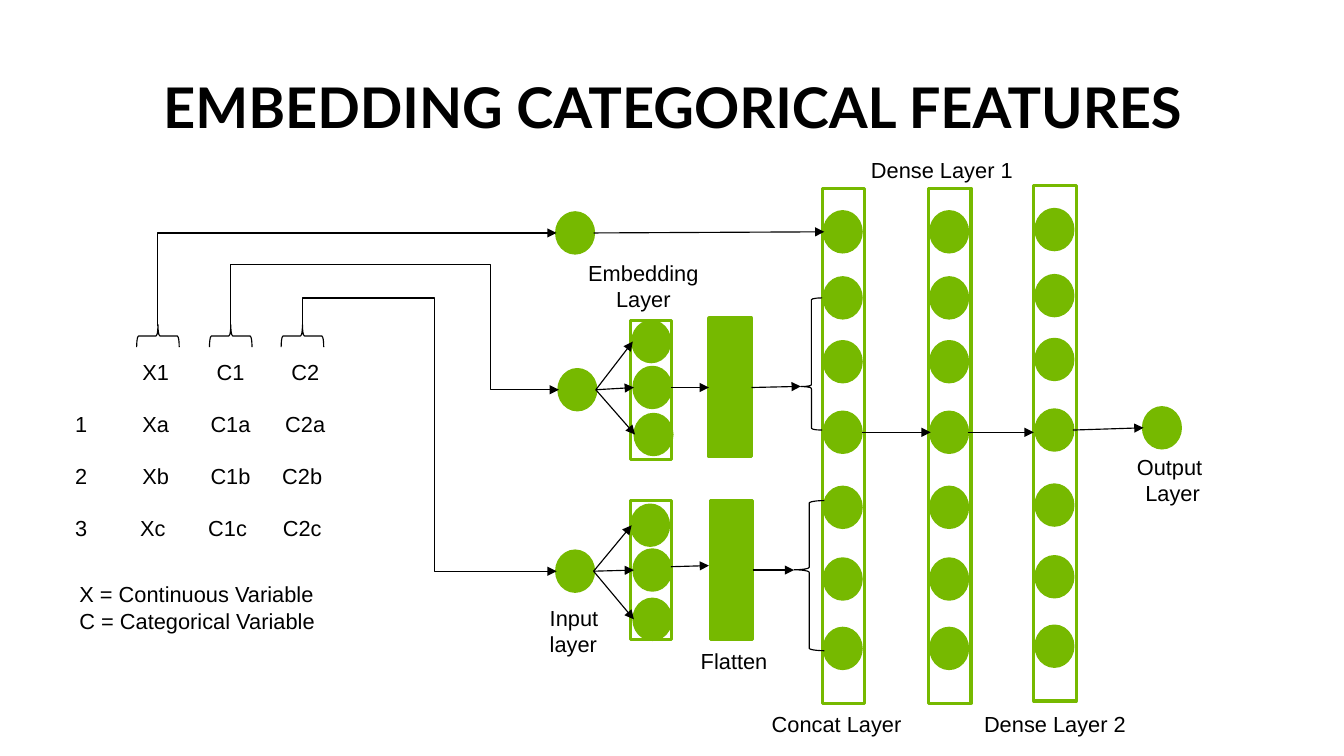
import pptx
import pptx.dml.color
import pptx.enum.shapes
import pptx.enum.text
import pptx.oxml.ns
import pptx.util
from lxml import etree

Inches = pptx.util.Inches
Pt = pptx.util.Pt
SHAPE = pptx.enum.shapes.MSO_SHAPE
CONNECTOR = pptx.enum.shapes.MSO_CONNECTOR
ALIGN = pptx.enum.text.PP_ALIGN
ANCHOR = pptx.enum.text.MSO_ANCHOR
qn = pptx.oxml.ns.qn

COLOURS = {"ink": "000000", "node": "76B900", "paper": "FFFFFF"}
NODE_W, NODE_H = 0.33, 0.36
BAR_W = 0.38


def rgb(name):
    return pptx.dml.color.RGBColor.from_string(COLOURS[name])


class Diagram:
    """Style and current slide, with one method per kind of element."""

    def __init__(self, slide, font="Arial", size=14):
        self.slide, self.font, self.size = slide, font, size

    def style(self, paragraph, align, font=None, size=None, bold=False):
        paragraph.alignment = align
        paragraph.font.name = font or self.font
        paragraph.font.size = Pt(size or self.size)
        paragraph.font.bold = bold
        paragraph.font.color.rgb = rgb("ink")

    def text(self, x, y, w, h, lines, align=ALIGN.CENTER, **font):
        box = self.slide.shapes.add_textbox(Inches(x), Inches(y), Inches(w), Inches(h))
        frame = box.text_frame
        frame.word_wrap = True
        frame.text = lines
        for paragraph in frame.paragraphs:
            self.style(paragraph, align, **font)
        return frame

    def shape(self, kind, x, y, w, h, fill=None, line="node", weight=2):
        item = self.slide.shapes.add_shape(kind, Inches(x), Inches(y), Inches(w), Inches(h))
        item.shadow.inherit = False
        if fill:
            item.fill.solid()
            item.fill.fore_color.rgb = rgb(fill)
        else:
            item.fill.background()
        item.line.color.rgb = rgb(line)
        item.line.width = Pt(weight)
        return item

    def node(self, x, y):
        return self.shape(SHAPE.OVAL, x, y, NODE_W, NODE_H, "node")

    def bar(self, x, y, w, h, fill="paper"):
        return self.shape(SHAPE.RECTANGLE, x, y, w, h, fill)

    def brace(self, x, y, w, h, point=0.5, rotation=0):
        item = self.shape(SHAPE.LEFT_BRACE, x, y, w, h, line="ink", weight=0.75)
        item.adjustments[1] = point
        item.rotation = rotation

    def arrow(self, x1, y1, x2, y2, kind=CONNECTOR.STRAIGHT):
        link = self.slide.shapes.add_connector(
            kind, Inches(x1), Inches(y1), Inches(x2), Inches(y2))
        link.line.color.rgb = rgb("ink")
        link.line.width = Pt(0.75)
        properties = link._element.spPr
        etree.SubElement(properties.find(qn("a:ln")), qn("a:tailEnd"), type="triangle")
        etree.SubElement(properties, qn("a:effectLst"))
        return link

    def elbow(self, x1, y1, x2, y2, turn=None):
        """Arrow that leaves upward; turn is (x, y) of the later bends."""
        mid_x, mid_y = (x1 + x2) / 2, (y1 + y2) / 2
        half_w, half_h = abs(y2 - y1) / 2, abs(x2 - x1) / 2
        link = self.arrow(mid_x - half_w, mid_y - half_h,
                          mid_x + half_w, mid_y + half_h, CONNECTOR.ELBOW)
        frame = link._element.spPr.find(qn("a:xfrm"))
        frame.set("rot", str(270 * 60000))
        if y2 > y1:
            frame.set("flipH", "1")
        geometry = link._element.spPr.find(qn("a:prstGeom"))
        geometry.set("prst", "bentConnector4" if turn else "bentConnector2")
        if turn:
            ratios = (turn[1] - y1) / (y2 - y1), (turn[0] - x1) / (x2 - x1)
            guides = geometry.find(qn("a:avLst"))
            for number, ratio in enumerate(ratios, 1):
                etree.SubElement(guides, qn("a:gd"), name=f"adj{number}",
                                 fmla=f"val {round(ratio * 100000)}")

    def table(self, x, y, w, h, rows):
        grid = self.slide.shapes.add_table(
            len(rows), len(rows[0]), Inches(x), Inches(y), Inches(w), Inches(h)).table
        grid.first_row = grid.horz_banding = False
        for r, row in enumerate(rows):
            for c, value in enumerate(row):
                cell = grid.cell(r, c)
                cell.fill.background()
                cell.text = value
                self.style(cell.text_frame.paragraphs[0], ALIGN.CENTER)


def main():
    deck = pptx.Presentation()
    deck.slide_width, deck.slide_height = Inches(12), Inches(6.75)
    diagram = Diagram(deck.slides.add_slide(deck.slide_layouts[6]))

    # Title
    title = diagram.text(0.55, 0.71, 10.91, 0.65, "EMBEDDING CATEGORICAL FEATURES",
                         font="Lato", size=36, bold=True)
    title.vertical_anchor = ANCHOR.BOTTOM
    title.margin_top = title.margin_bottom = Inches(0.1)
    title.paragraphs[0].line_spacing = 0.9

    # Feature table with a brace over each column
    diagram.table(0.39, 3.17, 2.67, 1.86, [
        ["", "X1", "C1", "C2"],
        ["1", "Xa", "C1a", "C2a"],
        ["2", "Xb", "C1b", "C2b "],
        ["3", "Xc ", "C1c ", "C2c "],
    ])
    for brace_x in (1.31, 1.96, 2.6):
        diagram.brace(brace_x, 2.81, 0.2, 0.38, rotation=90)

    # Input layer
    for input_x, input_y in ((4.97, 1.9), (4.99, 3.3), (4.97, 4.92)):
        diagram.node(input_x, input_y)
    diagram.elbow(1.41, 2.91, 4.97, 2.08)
    diagram.elbow(2.06, 2.91, 4.99, 3.48, turn=(4.38, 2.36))
    diagram.elbow(2.7, 2.91, 4.97, 5.1, turn=(3.88, 2.66))

    # Embedding layers, each fed by one input
    embeddings = [
        (2.86, (5.32, 3.48), ((5.65, 2.87), (5.66, 3.28), (5.67, 3.7))),
        (4.47, (5.3, 5.1), ((5.64, 4.51), (5.66, 4.91), (5.66, 5.35))),
    ]
    for bar_y, source, nodes in embeddings:
        diagram.bar(5.63, bar_y, 0.37, 1.24)
        for node_x, node_y in nodes:
            diagram.node(node_x, node_y)
        for node_x, node_y in nodes:
            diagram.arrow(*source, node_x, node_y + NODE_H / 2)

    # Flatten blocks
    flatten_c1 = diagram.bar(6.33, 2.84, BAR_W, 1.24, "node")
    flatten_c2 = diagram.bar(6.34, 4.47, BAR_W, 1.24, "node")
    diagram.arrow(5.99, 3.46, 6.33, 3.46).end_connect(flatten_c1, 1)
    diagram.arrow(5.99, 5.06, 6.33, 5.05)

    # Concat layer and dense layers
    for layer_x, layer_y in ((7.34, 1.68), (8.29, 1.68), (9.23, 1.66)):
        diagram.bar(layer_x, layer_y, BAR_W, 4.6)
        for offset in (0.21, 0.8, 1.37, 2, 2.67, 3.31, 3.93):
            diagram.node(layer_x + 0.02, layer_y + offset)

    # Links into the concat layer
    diagram.arrow(5.3, 2.08, 7.36, 2.07)
    diagram.brace(7.15, 2.66, 0.19, 1.18, point=0.671)
    diagram.brace(7.09, 4.47, 0.27, 1.34, point=0.461)
    diagram.arrow(6.71, 3.46, 7.15, 3.45).begin_connect(flatten_c1, 3)
    diagram.arrow(6.72, 5.09, 7.09, 5.09).begin_connect(flatten_c2, 3)

    # Links through the dense layers to the output
    diagram.node(10.21, 3.64)
    diagram.arrow(7.7, 3.86, 8.31, 3.86)
    diagram.arrow(8.64, 3.86, 9.23, 3.86)
    diagram.arrow(9.58, 3.84, 10.21, 3.82)

    # Labels
    diagram.text(4.81, 5.35, 0.68, 0.57, "Input layer", ALIGN.LEFT)
    diagram.text(5.13, 2.27, 1.23, 0.57, "Embedding Layer")
    diagram.text(5.94, 5.73, 1.23, 0.34, "Flatten")
    diagram.text(6.6, 6.3, 1.74, 0.34, "Concat Layer")
    diagram.text(7.54, 1.35, 1.74, 0.34, "Dense Layer 1")
    diagram.text(8.55, 6.3, 1.74, 0.34, "Dense Layer 2")
    diagram.text(9.6, 4, 1.74, 0.57, "Output \nLayer")
    diagram.text(0.61, 5.14, 2.71, 0.57,
                 "X = Continuous Variable\nC = Categorical Variable", ALIGN.LEFT)

    deck.save("out.pptx")


if __name__ == "__main__":
    main()
